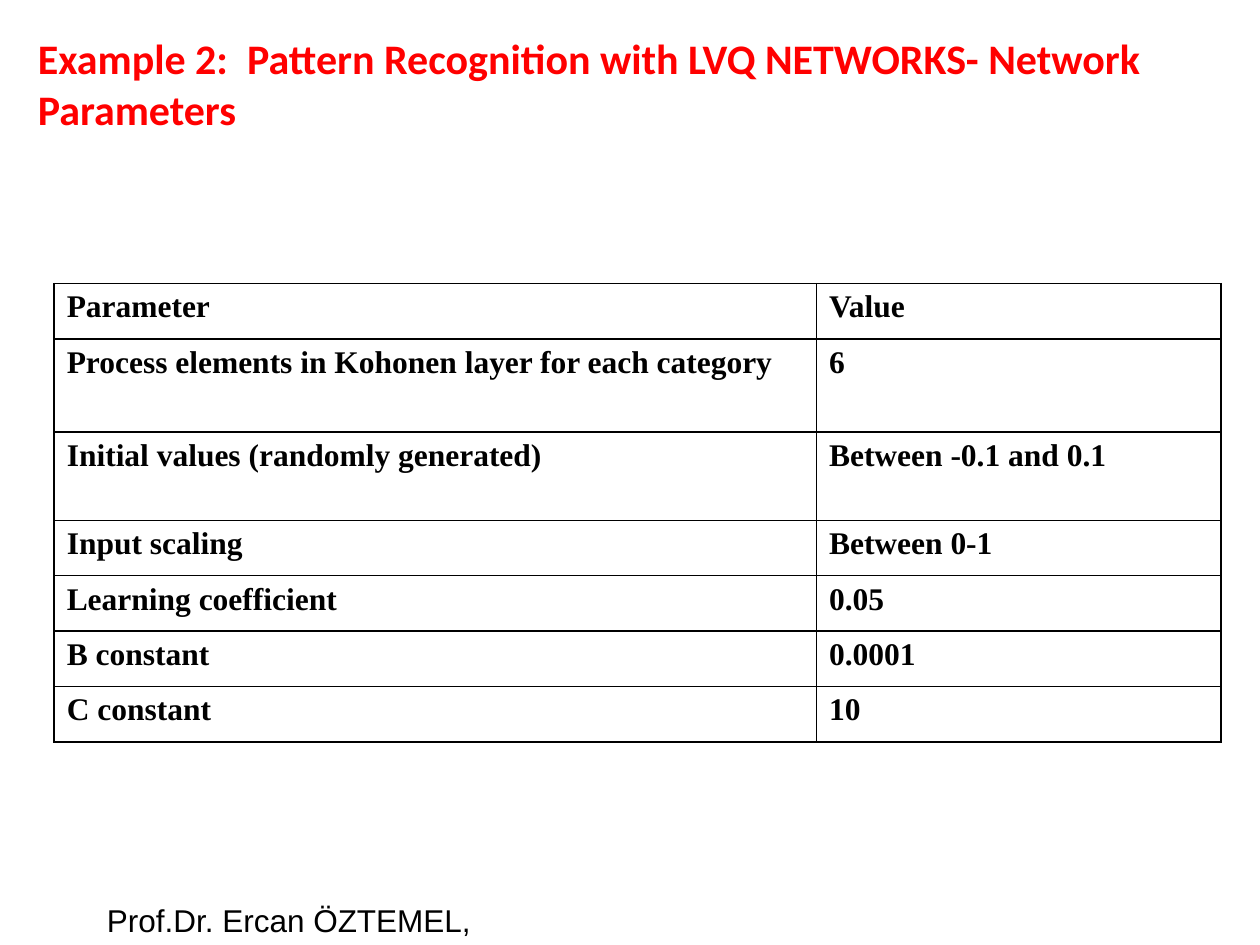
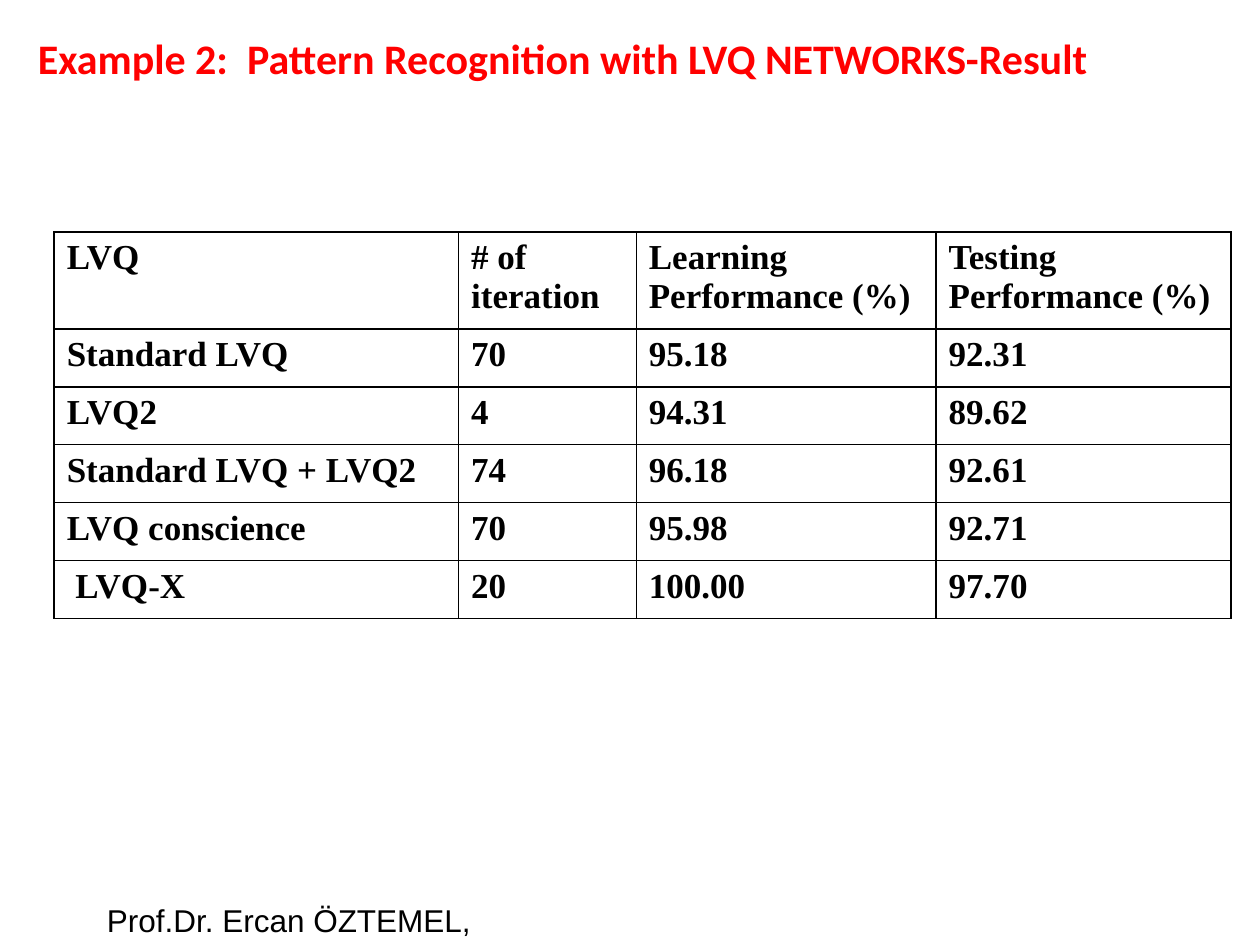
from lxml.etree import SubElement
from pptx import Presentation
from pptx.dml.color import RGBColor
from pptx.enum.text import MSO_ANCHOR as Anchor, MSO_AUTO_SIZE as AutoSize, PP_ALIGN as Align
from pptx.oxml.ns import qn
from pptx.util import Inches, Pt

COLORS = {"title": "FF0000", "ink": "000000", "paper": "FFFFFF"}
FONTS = {"title": "Calibri", "table": "Times New Roman", "footer": "Arial"}
TOPIC = "Example 2:  Pattern Recognition with LVQ NETWORKS-"
AUTHOR = "Prof.Dr. Ercan ÖZTEMEL,"
TITLE_ONLY = 5
TABLE_LEFT = 0.43

PARAMETERS = [
    ("Parameter", "Value"),
    ("Process elements in Kohonen layer for each category", "6"),
    ("Initial values (randomly generated)", "Between -0.1 and 0.1"),
    ("Input scaling", "Between 0-1"),
    ("Learning coefficient", "0.05"),
    ("B constant", "0.0001"),
    ("C constant", "10"),
]
RESULTS = [
    ("LVQ", "# of iteration", "Learning Performance (%)", "Testing Performance (%)"),
    ("Standard LVQ", "70", "95.18", "92.31"),
    ("LVQ2", "4", "94.31", "89.62"),
    ("Standard LVQ + LVQ2", "74", "96.18", "92.61"),
    ("LVQ conscience", "70", "95.98", "92.71"),
    (" LVQ-X", "20", "100.00", "97.70"),
]


def style_text(frame, role, size, color="ink", bold=False):
    for paragraph in frame.paragraphs:
        paragraph.alignment = Align.LEFT
        for run in paragraph.runs:
            run.font.name = FONTS[role]
            run.font.size = Pt(size)
            run.font.bold = bold
            run.font.color.rgb = RGBColor.from_string(COLORS[color])


def place(shape, left, top, width, height):
    shape.left, shape.top = Inches(left), Inches(top)
    shape.width, shape.height = Inches(width), Inches(height)


def add_title(slide, ending, lines):
    title = slide.shapes.title
    place(title, 0.2, 0.21, 9.29, 0.11 + 0.4 * lines)
    frame = title.text_frame
    frame.text = TOPIC + ending
    frame.word_wrap = True
    frame.auto_size = AutoSize.NONE
    frame.vertical_anchor = Anchor.TOP
    style_text(frame, "title", 24, "title", bold=True)


def add_footer(slide):
    footer = slide.shapes.add_textbox(Inches(0.75), Inches(7.1), Inches(3.19), Inches(0.4))
    frame = footer.text_frame
    frame.text = AUTHOR
    frame.word_wrap = False
    style_text(frame, "footer", 18)


def outline_cell(cell):
    properties = cell._tc.get_or_add_tcPr()
    for side in ("a:lnL", "a:lnR", "a:lnT", "a:lnB"):
        border = SubElement(properties, qn(side), w=str(Pt(1)))
        fill = SubElement(border, qn("a:solidFill"))
        SubElement(fill, qn("a:srgbClr"), val=COLORS["ink"])


def add_grid(slide, records, top, widths, heights, size):
    table = slide.shapes.add_table(
        len(records), len(widths), Inches(TABLE_LEFT), Inches(top),
        Inches(sum(widths)), Inches(sum(heights))).table
    table.first_row = table.horz_banding = False
    for column, width in zip(table.columns, widths):
        column.width = Inches(width)
    for row, height, record in zip(table.rows, heights, records):
        row.height = Inches(height)
        for cell, value in zip(row.cells, record):
            outline_cell(cell)
            cell.fill.background()
            cell.text_frame.text = value
            style_text(cell.text_frame, "table", size, bold=True)


def add_slide(deck, ending, title_lines):
    slide = deck.slides.add_slide(deck.slide_layouts[TITLE_ONLY])
    slide.background.fill.solid()
    slide.background.fill.fore_color.rgb = RGBColor.from_string(COLORS["paper"])
    add_title(slide, ending, title_lines)
    add_footer(slide)
    return slide


def main():
    deck = Presentation()
    deck.slide_width, deck.slide_height = Inches(10), Inches(7.5)

    parameters = add_slide(deck, " Network Parameters", 2)
    add_grid(parameters, PARAMETERS, 2.25, [6.05, 3.21],
             [0.44, 0.74, 0.7] + [0.44] * 4, 18)

    results = add_slide(deck, "Result", 1)
    add_grid(results, RESULTS, 1.84, [3.21, 1.41, 2.38, 2.34],
             [0.77] + [0.46] * 5, 20)

    deck.save("out.pptx")


if __name__ == "__main__":
    main()
